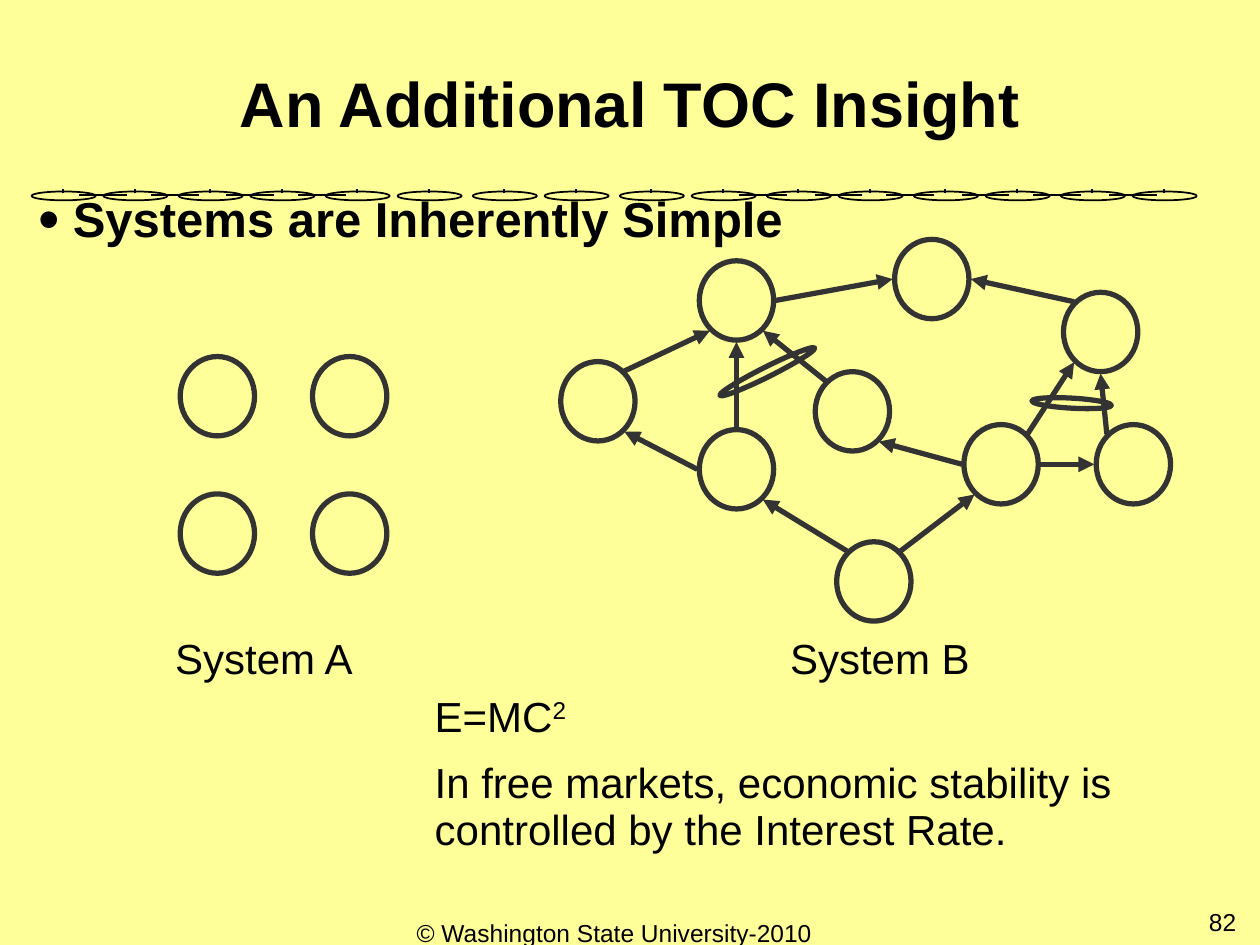
"""Builds the slide on system simplicity with two node diagrams."""
import pptx
import pptx.dml.color
import pptx.enum.shapes
import pptx.enum.text
import pptx.oxml.ns
import pptx.util
from lxml import etree

ALIGN = pptx.enum.text.PP_ALIGN
COLORS = {"background": "FFFF99", "text": "000000", "diagram": "333333"}
FONT = "Arial"
TITLE = "An Additional TOC Insight"
BULLET = "Systems are Inherently Simple"
LABELS = [
    (("E=MC", "2"), 3.36, 5.47, 1.47, 0.62),
    (("In free markets, economic stability is controlled by the Interest Rate.",),
     3.36, 5.99, 5.96, 0.83),
    (("System A",), 1.3, 5.01, 1.85, 0.62),
    (("System B",), 6.18, 5.01, 1.85, 0.62),
]
FOOTERS = [
    ("82", 7.58, 7.15, 2.33, ALIGN.RIGHT),
    ("© Washington State University-2010", 3, 7.24, 3.75, ALIGN.CENTER),
]

NODE_W, NODE_H = 0.59, 0.63
SYSTEM_A = {"columns": (1.43, 2.48), "rows": (2.83, 3.92)}
SYSTEM_B = {
    "root": (6.64, 4.3), "lower left": (5.55, 3.41), "left": (4.45, 2.87),
    "middle": (6.47, 2.95), "upper left": (5.55, 2.07), "top": (7.1, 1.9),
    "lower right": (7.65, 3.37), "far right": (8.7, 3.37), "upper right": (8.44, 2.32),
}
PORTS = {
    "n": (0, -0.33), "s": (0, 0.33), "e": (0.31, 0), "w": (-0.31, 0),
    "ne": (0.21, -0.24), "nw": (-0.21, -0.24), "se": (0.21, 0.24), "sw": (-0.21, 0.24),
}
ARROWS = [
    ("root", "ne", "lower right", "sw"),
    ("lower right", "w", "middle", "se"),
    ("lower right", "ne", "upper right", "sw"),
    ("lower right", "e", "far right", "w"),
    ("far right", "nw", "upper right", "s"),
    ("upper right", "nw", "top", "e"),
    ("upper left", "e", "top", "w"),
    ("middle", "nw", "upper left", "se"),
    ("lower left", "n", "upper left", "s"),
    ("left", "ne", "upper left", "sw"),
    ("lower left", "w", "left", "se"),
    ("root", "nw", "lower left", "se"),
]
AND_LOOPS = [(5.67, 2.91, 0.84, 0.08, 333.4), (8.19, 3.16, 0.63, 0.08, 3.2)]
CHAIN = {"count": 16, "left": 0.25, "pair": 1.167, "step": 0.57,
         "linked": {0, 1, 2, 3, 9, 10, 11, 12, 13, 14}}


def rgb(name):
    return pptx.dml.color.RGBColor.from_string(COLORS[name])


def inches(*values):
    return [pptx.util.Inches(v) for v in values]


def style_line(shape, color, width):
    shape.line.color.rgb = rgb(color)
    shape.line.width = pptx.util.Pt(width)


def add_ellipse(s, box, color, width, rotation=0):
    sp = s.shapes.add_shape(pptx.enum.shapes.MSO_SHAPE.OVAL, *inches(*box))
    sp.shadow.inherit = False
    sp.fill.background()
    style_line(sp, color, width)
    sp.rotation = rotation


def add_line(s, start, end, color, width, arrow=False):
    sp = s.shapes.add_connector(pptx.enum.shapes.MSO_CONNECTOR.STRAIGHT,
                                *inches(*start, *end))
    style_line(sp, color, width)
    if arrow:
        etree.SubElement(sp.line._get_or_add_ln(), pptx.oxml.ns.qn("a:tailEnd"),
                         type="triangle")
    etree.SubElement(sp._element.spPr, pptx.oxml.ns.qn("a:effectLst"))


def place(sp, box):
    sp.left, sp.top, sp.width, sp.height = inches(*box)


def format_text(p, size, bold=False, align=ALIGN.LEFT, spacing=None):
    p.alignment = align
    p.line_spacing = spacing
    for r in p.runs:
        r.font.name = FONT
        r.font.size = pptx.util.Pt(size)
        r.font.bold = bold
        r.font.color.rgb = rgb("text")


def add_text(s, text, box, inset=(0.1, 0.05)):
    tf = s.shapes.add_textbox(*inches(*box)).text_frame
    tf.word_wrap = True
    tf.margin_left = tf.margin_right = pptx.util.Inches(inset[0])
    tf.margin_top = tf.margin_bottom = pptx.util.Inches(inset[1])
    tf.text = text
    return tf.paragraphs[0]


def add_chain(s):
    for i in range(CHAIN["count"]):
        x = CHAIN["left"] + i // 2 * CHAIN["pair"] + i % 2 * CHAIN["step"]
        add_ellipse(s, (x, 1.52, 0.51, 0.07), "text", 1)
        add_line(s, (x + 0.25, 1.5), (x + 0.25, 1.53), "text", 1)
        if i in CHAIN["linked"]:
            add_line(s, (x + 0.76, 1.55), (x + 0.38, 1.55), "text", 1)


def port(node, side):
    x, y = SYSTEM_B[node]
    dx, dy = PORTS[side]
    return x + NODE_W / 2 + dx, y + NODE_H / 2 + dy


def add_diagrams(s):
    grid = [(x, y) for y in SYSTEM_A["rows"] for x in SYSTEM_A["columns"]]
    for x, y in grid + list(SYSTEM_B.values()):
        add_ellipse(s, (x, y, NODE_W, NODE_H), "diagram", 3)
    for source, leave, target, enter in ARROWS:
        add_line(s, port(source, leave), port(target, enter), "diagram", 3, True)
    for *box, rotation in AND_LOOPS:
        add_ellipse(s, box, "diagram", 3, rotation)


def add_bullet(s):
    p = add_text(s, BULLET, (0.21, 1.48, 8.68, 0.62))
    pPr = p._p.get_or_add_pPr()
    pPr.set("marL", str(pptx.util.Inches(0.27)))
    pPr.set("indent", str(-pptx.util.Inches(0.27)))
    qn = pptx.oxml.ns.qn
    color = etree.SubElement(pPr, qn("a:buClr"))
    etree.SubElement(color, qn("a:srgbClr"), val=COLORS["text"])
    etree.SubElement(pPr, qn("a:buSzPct"), val="125000")
    etree.SubElement(pPr, qn("a:buFont"), typeface=FONT)
    etree.SubElement(pPr, qn("a:buChar"), char="•")
    format_text(p, 28, bold=True, spacing=0.95)


def main():
    prs = pptx.Presentation()
    prs.slide_width, prs.slide_height = inches(10, 7.5)
    s = prs.slides.add_slide(prs.slide_layouts[5])
    s.background.fill.solid()
    s.background.fill.fore_color.rgb = rgb("background")

    add_chain(s)
    title = s.shapes.title
    place(title, (0, 0.42, 10, 0.75))
    title.text_frame.text = TITLE
    title.text_frame.vertical_anchor = pptx.enum.text.MSO_ANCHOR.BOTTOM
    format_text(title.text_frame.paragraphs[0], 36, True, ALIGN.CENTER, 0.9)
    add_bullet(s)
    add_diagrams(s)

    for (text, *superscript), *box in LABELS:
        p = add_text(s, text, box, (0.09, 0.04))
        for exponent in superscript:
            r = p.add_run()
            r.text = exponent
            r.font._element.set("baseline", "30000")
        format_text(p, 24, spacing=0.95)
    for text, x, y, width, align in FOOTERS:
        format_text(add_text(s, text, (x, y, width, 0.52)), 14, align=align)
    prs.save("out.pptx")


if __name__ == "__main__":
    main()
